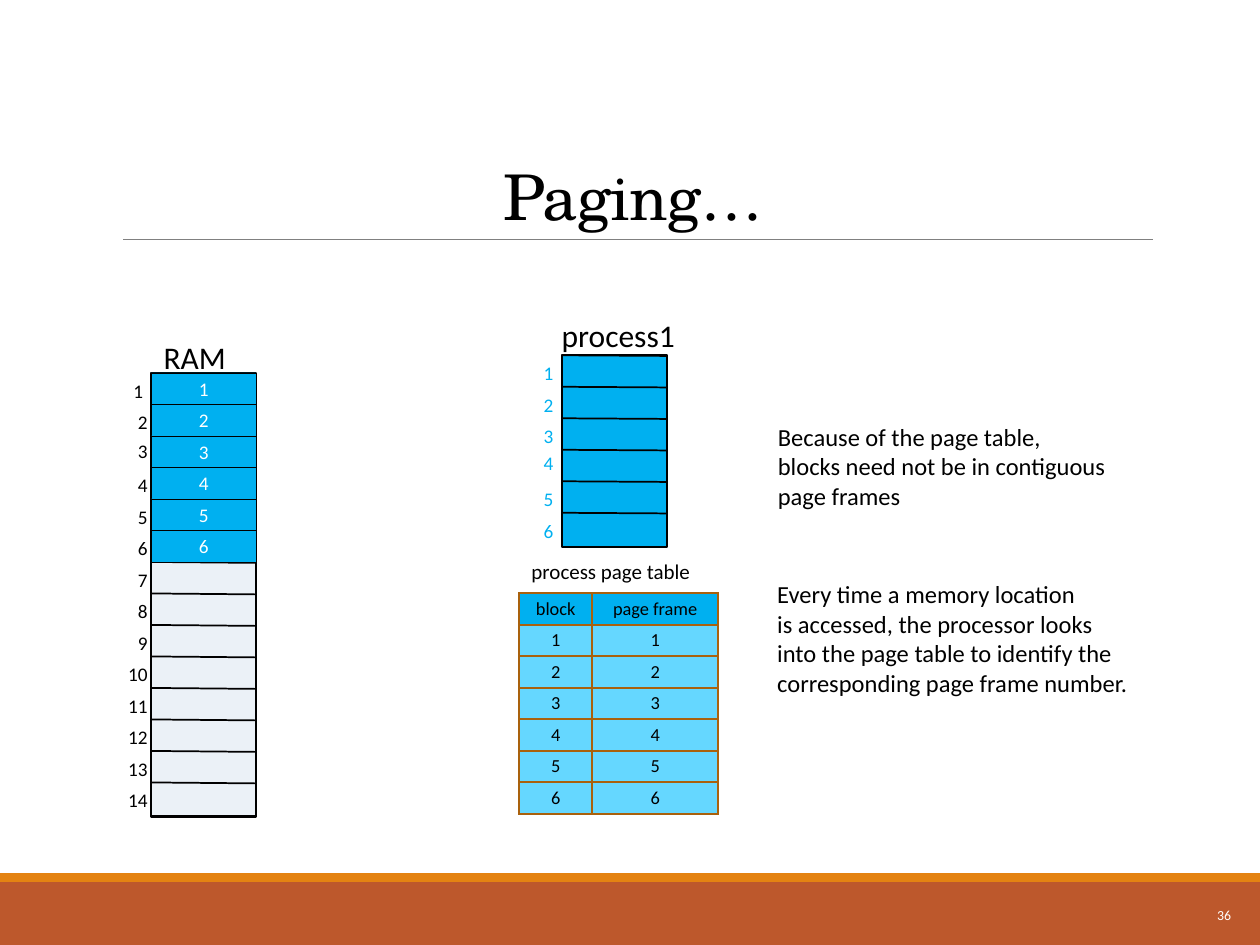
from typing import NamedTuple

from lxml import etree
from pptx import Presentation
from pptx import util as u
from pptx.dml.color import RGBColor
from pptx.enum import shapes, text
from pptx.oxml import ns

CELL = 0.25  # grid unit in inches: the slide is 40 columns by 30 rows
COLUMNS, ROWS = 40, 30
COLORS = {
    "ink": "000000", "paper": "FFFFFF", "used": "00B0F0", "free": "EBF1F7",
    "entry": "65D7FF", "border": "A9610D", "rule": "808080",
    "footer": "BD582C", "stripe": "E48312",
}
LEFT, CENTER, RIGHT = text.PP_ALIGN.LEFT, text.PP_ALIGN.CENTER, text.PP_ALIGN.RIGHT
TOP, MIDDLE = text.MSO_ANCHOR.TOP, text.MSO_ANCHOR.MIDDLE


class Frame(NamedTuple):
    """A place on the grid, in columns and rows."""
    left: float
    top: float
    width: float
    height: float


class Stack(NamedTuple):
    """A column of memory cells with a caption and numbered rows."""
    frame: Frame
    fill: str
    caption: str
    caption_frame: Frame
    count: int
    first_line: int
    tilt: float
    label_color: str
    label_right: float
    nudges: dict


class Note(NamedTuple):
    frame: Frame
    lines: list
    size: float


STACKS = [
    Stack(Frame(4.8, 11.84, 3.33, 14.08), "free", "RAM", Frame(4.8, 10.52, 4, 1.6),
          14, 1, 0.03, "ink", 0.28, {1: (-0.14, 0), 3: (0, -0.1)}),
    Stack(Frame(17.84, 11.28, 3.33, 6.08), "used", "process1", Frame(17.44, 9.84, 6, 1.6),
          6, 0, 0.02, "used", 0.12, {4: (0, -0.16)}),
]
NOTES = [
    Note(Frame(16.48, 17.52, 8, 1.2), ["process page table"], 12),
    Note(Frame(24.3, 13.2, 14, 3.24),
         ["Because of the page table,", "blocks need not be in contiguous", "page frames"], 14),
    Note(Frame(24.28, 18.2, 14, 4.16),
         ["Every time a memory location", "is accessed, the processor looks",
          "into the page table to identify the", "corresponding page frame number."], 14),
]
USED_FRAMES = 6


def grid(cells: float) -> int:
    return u.Inches(cells * CELL)


def color(name: str) -> RGBColor:
    return RGBColor.from_string(COLORS[name])


def write(box, lines: list, size: float, ink="ink", align=LEFT, font="Calibri") -> None:
    for index, line in enumerate(lines):
        para = box.paragraphs[0] if index == 0 else box.add_paragraph()
        para.alignment = align
        span = para.add_run()
        span.text = line
        for name, value in {"name": font, "size": u.Pt(size), "bold": False}.items():
            setattr(span.font, name, value)
        span.font.color.rgb = color(ink)


def add_text(page, frame: Frame, lines: list, size: float, ink="ink",
             align=LEFT, anchor=TOP) -> None:
    box = page.shapes.add_textbox(*map(grid, frame)).text_frame
    box.word_wrap = True
    box.vertical_anchor = anchor
    write(box, lines, size, ink, align)


def add_block(page, frame: Frame, fill: str, line_width: float = 0, label: str = "") -> None:
    block = page.shapes.add_shape(shapes.MSO_SHAPE.RECTANGLE, *map(grid, frame))
    block.shadow.inherit = False
    block.fill.solid()
    block.fill.fore_color.rgb = color(fill)
    if line_width:
        block.line.color.rgb = color("ink")
        block.line.width = u.Pt(line_width)
    else:
        block.line.fill.background()
    if label:
        block.text_frame.vertical_anchor = MIDDLE
        write(block.text_frame, [label], 11, "paper", CENTER)


def add_line(page, start: tuple, end: tuple, ink: str, width: float) -> None:
    line = page.shapes.add_connector(shapes.MSO_CONNECTOR.STRAIGHT, *map(grid, start + end))
    line.line.color.rgb = color(ink)
    line.line.width = u.Pt(width)
    etree.SubElement(line._element.spPr, ns.qn("a:effectLst"))


def add_stack(page, stack: Stack) -> None:
    left, top, width, _ = stack.frame
    add_block(page, stack.frame, stack.fill, 1.25)
    for row in range(stack.first_line, stack.first_line + stack.count):
        if row > stack.count - stack.first_line:
            break
        add_line(page, (left, top + row), (left + width, top + row + stack.tilt), "ink", 1)
    for number in range(1, stack.count + 1):
        right, down = stack.nudges.get(number, (0, 0))
        place = Frame(left + stack.label_right - 2 + right, top + number - 1 + down, 2, 1.16)
        add_text(page, place, [str(number)], 11, stack.label_color, RIGHT)
    add_text(page, stack.caption_frame, [stack.caption], 18)


def add_border(cell) -> None:
    properties = cell._tc.get_or_add_tcPr()
    for side in ("lnL", "lnR", "lnT", "lnB"):
        edge = etree.SubElement(properties, ns.qn(f"a:{side}"), w=str(u.Pt(1.25)))
        fill = etree.SubElement(edge, ns.qn("a:solidFill"))
        etree.SubElement(fill, ns.qn("a:srgbClr"), val=COLORS["border"])


def add_page_table(page, left: float, top: float, widths: tuple) -> None:
    entries = [("block", "page frame")] + [(str(n), str(n)) for n in range(1, USED_FRAMES + 1)]
    place = Frame(left, top, sum(widths), len(entries))
    table = page.shapes.add_table(len(entries), len(widths), *map(grid, place)).table
    table.horz_banding = False
    for column, width in zip(table.columns, widths):
        column.width = grid(width)
    for row, entry in enumerate(entries):
        table.rows[row].height = grid(1)
        for column, label in enumerate(entry):
            cell = table.cell(row, column)
            add_border(cell)
            cell.fill.solid()
            cell.fill.fore_color.rgb = color("entry" if row else "used")
            cell.vertical_anchor = MIDDLE
            cell.margin_top = cell.margin_bottom = 0
            write(cell.text_frame, [label], 10.5, align=CENTER)


def add_title(page, frame: Frame, label: str) -> None:
    title = page.shapes.title
    for name, value in zip(Frame._fields, frame):
        setattr(title, name, grid(value))
    box = title.text_frame
    box.auto_size = text.MSO_AUTO_SIZE.NONE
    box.vertical_anchor = text.MSO_ANCHOR.BOTTOM
    write(box, [label], 36, align=CENTER, font="TeX Gyre Schola")
    box.paragraphs[0].line_spacing = 0.85
    box.paragraphs[0].runs[0].font._element.set("spc", "-40")


def main() -> None:
    deck = Presentation()
    deck.slide_width, deck.slide_height = grid(COLUMNS), grid(ROWS)
    page = deck.slides.add_slide(deck.slide_layouts[5])

    # Footer, title and rule
    add_block(page, Frame(0, 28, COLUMNS, 2), "footer")
    add_block(page, Frame(0, 27.72, COLUMNS, 0.28), "stripe")
    add_line(page, (3.92, 7.6), (36.6, 7.6), "rule", 0.5)
    add_title(page, Frame(3.6, 1.24, 33, 6.36), "Paging…")
    add_text(page, Frame(35.16, 28.24, 4.32, 1.6), ["36"], 7.9, "paper", RIGHT, MIDDLE)

    # Memory and process, with the used page frames on top
    for stack in STACKS:
        add_stack(page, stack)
    ram = STACKS[0].frame
    for row in range(USED_FRAMES):
        place = Frame(ram.left, ram.top + row, ram.width, 1)
        add_block(page, place, "used", 0.25, str(row + 1))

    # Page table and explanations
    add_page_table(page, 16.48, 18.84, (2.32, 4))
    for note in NOTES:
        add_text(page, note.frame, note.lines, note.size)

    deck.save("out.pptx")


if __name__ == "__main__":
    main()
